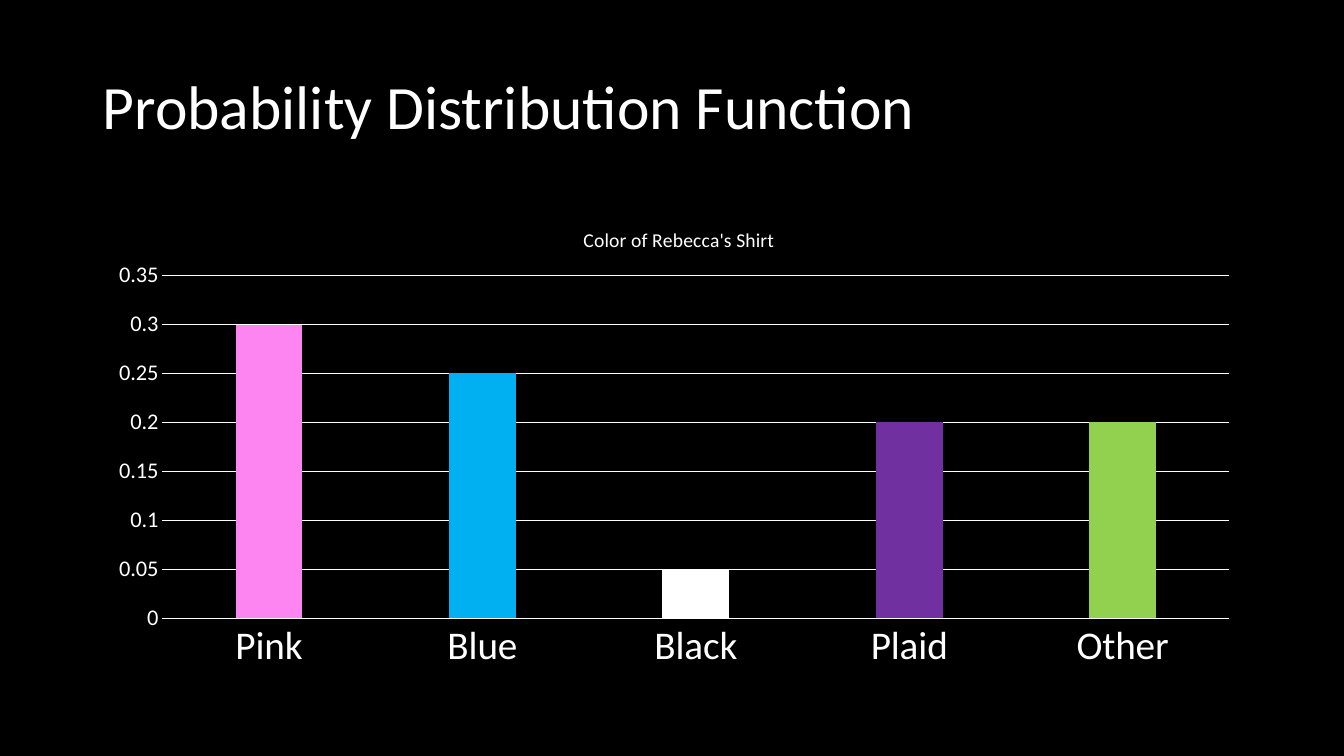
import pptx
import pptx.chart.data
import pptx.dml.color
import pptx.enum.chart
import pptx.enum.text
import pptx.oxml
import pptx.oxml.ns
import pptx.util

COLORS = {
    "background": "000000",
    "text": "FFFFFF",
    "Pink": "FC85F2",
    "Blue": "00B0F0",
    "Black": "FFFFFF",
    "Plaid": "7030A0",
    "Other": "92D050",
}
PROBABILITIES = {"Pink": 0.3, "Blue": 0.25, "Black": 0.05, "Plaid": 0.2, "Other": 0.2}


def rgb(name):
    return pptx.dml.color.RGBColor.from_string(COLORS[name])


def layout_xml(**places):
    """Manual chart layout, in shares of the chart's size."""
    target = '<c:layoutTarget val="inner"/>' if "w" in places else ""
    modes = "".join(f'<c:{key}Mode val="edge"/>' for key in places if key in "xy")
    values = "".join(f'<c:{key} val="{share}"/>' for key, share in places.items())
    return pptx.oxml.parse_xml(
        f'<c:layout {pptx.oxml.ns.nsdecls("c")}><c:manualLayout>'
        f"{target}{modes}{values}</c:manualLayout></c:layout>"
    )


class Deck:
    FONT = "Calibri"
    WIDTH, HEIGHT = 13.33, 7.5
    LEFT, SPAN = 0.069, 0.863  # shared column, as shares of the slide width

    def __init__(self):
        self.presentation = pptx.Presentation()
        self.presentation.slide_width = pptx.util.Inches(self.WIDTH)
        self.presentation.slide_height = pptx.util.Inches(self.HEIGHT)
        self.slide = self.presentation.slides.add_slide(self.presentation.slide_layouts[5])
        fill = self.slide.background.fill
        fill.solid()
        fill.fore_color.rgb = rgb("background")

    def box(self, top, height):
        shares = (self.LEFT * self.WIDTH, top * self.HEIGHT,
                  self.SPAN * self.WIDTH, height * self.HEIGHT)
        return [pptx.util.Inches(share) for share in shares]

    def style_font(self, font, size):
        font.name = self.FONT
        font.size = pptx.util.Pt(size)
        font.bold = False
        font.color.rgb = rgb("text")

    def style_line(self, line):
        line.color.rgb = rgb("text")
        line.width = pptx.util.Pt(0.75)

    def title(self, text, top, height):
        heading = self.slide.shapes.title
        heading.left, heading.top, heading.width, heading.height = self.box(top, height)
        frame = heading.text_frame
        frame.text = text
        frame.word_wrap = True
        frame.vertical_anchor = pptx.enum.text.MSO_ANCHOR.MIDDLE
        paragraph = frame.paragraphs[0]
        paragraph.alignment = pptx.enum.text.PP_ALIGN.LEFT
        paragraph.line_spacing = 0.9
        self.style_font(paragraph.runs[0].font, 44)

    def column_chart(self, caption, values, top, height):
        data = pptx.chart.data.CategoryChartData()
        data.categories = list(values)
        data.add_series("Series 1", list(values.values()))
        chart = self.slide.shapes.add_chart(
            pptx.enum.chart.XL_CHART_TYPE.COLUMN_CLUSTERED, *self.box(top, height), data
        ).chart
        self.style_font(chart.font, 10)
        chart.has_legend = False

        # Caption
        chart.has_title = True
        caption_frame = chart.chart_title.text_frame
        caption_frame.text = caption
        self.style_font(caption_frame.paragraphs[0].runs[0].font, 14)

        # Axes
        for axis, size in ((chart.category_axis, 28), (chart.value_axis, 16)):
            axis.major_tick_mark = pptx.enum.chart.XL_TICK_MARK.NONE
            axis.minor_tick_mark = pptx.enum.chart.XL_TICK_MARK.NONE
            self.style_font(axis.tick_labels.font, size)
        self.style_line(chart.category_axis.format.line)
        scale = chart.value_axis
        scale.minimum_scale, scale.maximum_scale, scale.major_unit = 0, 0.35, 0.05
        scale.tick_labels.number_format = "General"
        scale.tick_labels.number_format_is_linked = False
        scale.format.line.fill.background()
        scale.has_major_gridlines = True
        self.style_line(scale.major_gridlines.format.line)

        # Columns, each in the colour of its shirt
        columns = chart.plots[0]
        columns.vary_by_categories = False
        columns.gap_width = 219
        columns.overlap = -27
        for index, shirt in enumerate(values):
            fill = columns.series[0].points[index].format.fill
            fill.solid()
            fill.fore_color.rgb = rgb(shirt)

        # Places of the caption and the plot
        self.place(chart.chart_title._element, 1, x=0.42, y=0.04)
        plot_area = chart._chartSpace.chart.plotArea
        self.place(plot_area, 0, x=0.06, y=0.15, w=0.92, h=0.72)

    def place(self, element, position, **places):
        for old in element.findall(pptx.oxml.ns.qn("c:layout")):
            element.remove(old)
        element.insert(position, layout_xml(**places))

    def save(self):
        self.presentation.save("out.pptx")


def main():
    deck = Deck()
    deck.title("Probability Distribution Function", top=0.05, height=0.19)
    deck.column_chart("Color of Rebecca's Shirt", PROBABILITIES, top=0.27, height=0.63)
    deck.save()


if __name__ == "__main__":
    main()
